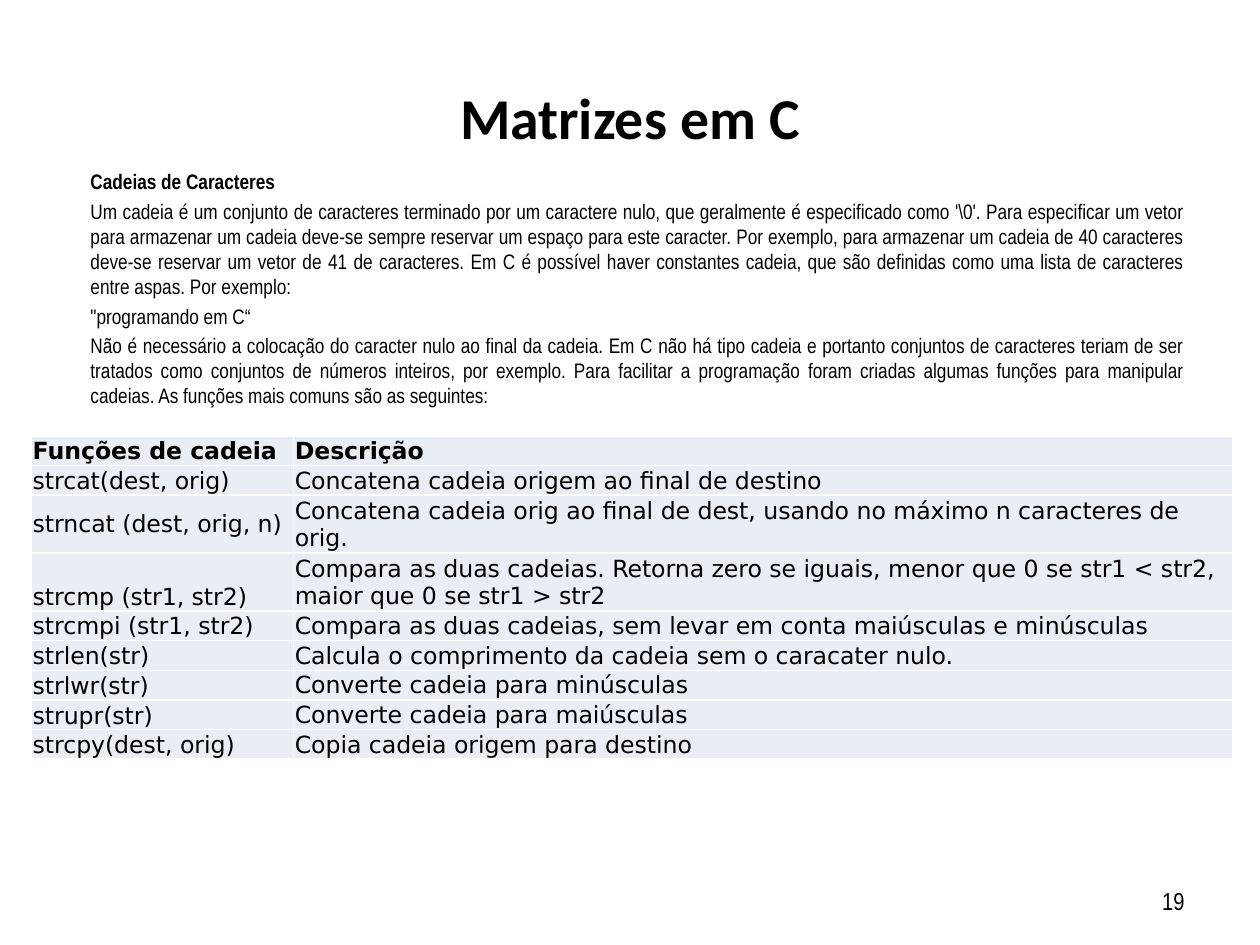
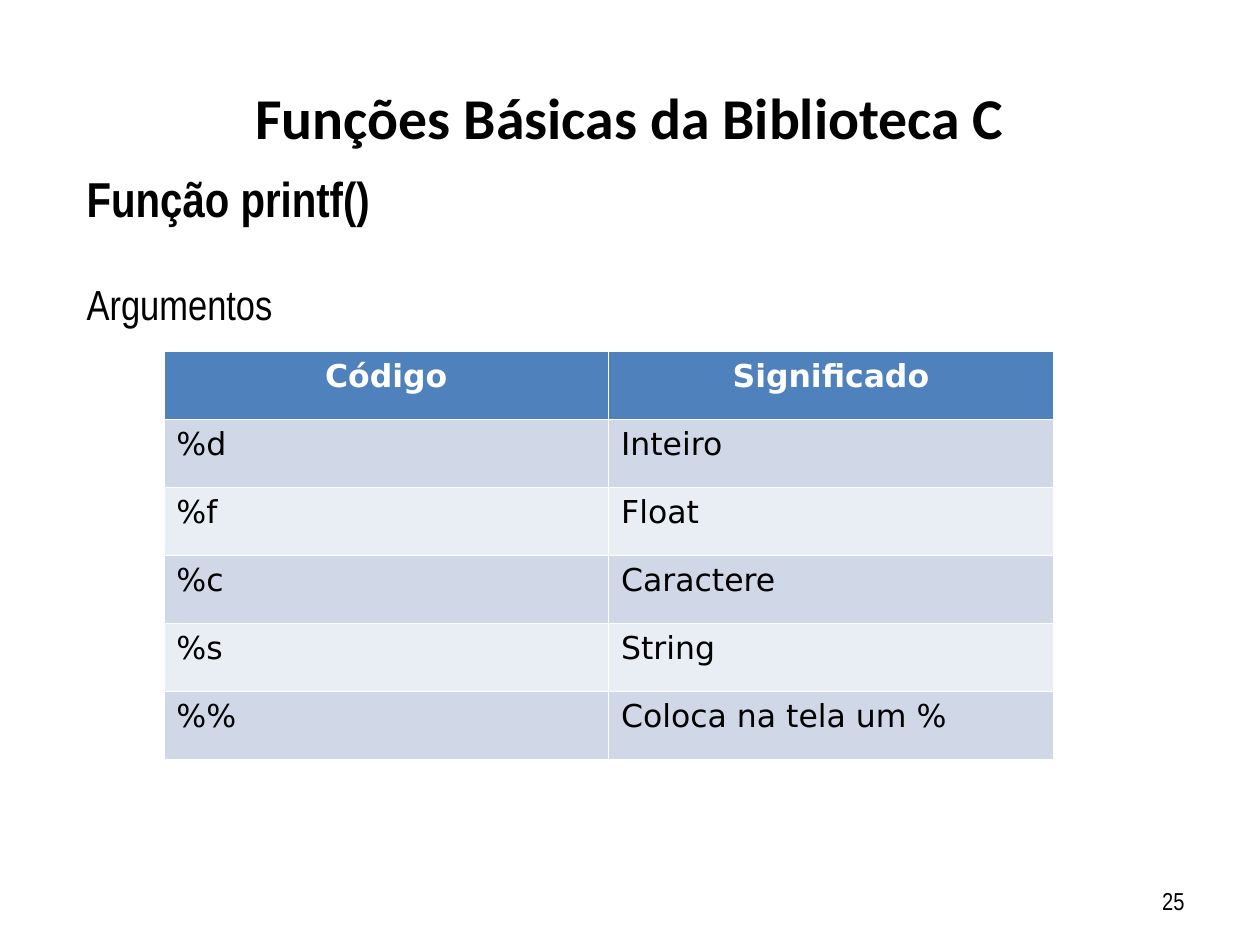
from pptx import Presentation
from pptx.dml.color import RGBColor
from pptx.enum.text import MSO_ANCHOR, PP_ALIGN
from pptx.util import Inches, Pt

TOP, MIDDLE, BOTTOM = MSO_ANCHOR.TOP, MSO_ANCHOR.MIDDLE, MSO_ANCHOR.BOTTOM
LEFT, CENTER, RIGHT, JUSTIFY = PP_ALIGN.LEFT, PP_ALIGN.CENTER, PP_ALIGN.RIGHT, PP_ALIGN.JUSTIFY

BLACK = RGBColor(0x00, 0x00, 0x00)
WHITE = RGBColor(0xFF, 0xFF, 0xFF)
HEADER_BLUE = RGBColor(0x4F, 0x81, 0xBD)
BAND_DARK = RGBColor(0xD0, 0xD8, 0xE8)
BAND_LIGHT = RGBColor(0xE9, 0xED, 0xF4)

TITLE_FONT = "Calibri"
BODY_FONT = "Arial Narrow"
TABLE_FONT = "DejaVu Sans"

TITLE_BOX = (0.5, 0.3, 9, 1.25)
BODY_BOX = (0.5, 1.29, 9, 4.95)
NUMBER_BOX = (7.17, 6.95, 2.33, 0.4)
TITLE_ONLY = 5

STRING_INTRO = [
    ("Cadeias de Caracteres", 12, True, 0),
    ("Um cadeia é um conjunto de caracteres terminado por um caractere nulo, que geralmente é "
     "especificado como '\\0'. Para especificar um vetor para armazenar um cadeia deve-se sempre "
     "reservar um espaço para este caracter. Por exemplo, para armazenar um cadeia de 40 caracteres "
     "deve-se reservar um vetor de 41 de caracteres. Em C é possível haver constantes cadeia, que são "
     "definidas como uma lista de caracteres entre aspas. Por exemplo:", 12, False, 0),
    ("\"programando em C“", 12, False, 0),
    ("Não é necessário a colocação do caracter nulo ao final da cadeia. Em C não há tipo cadeia e "
     "portanto conjuntos de caracteres teriam de ser tratados como conjuntos de números inteiros, por "
     "exemplo. Para facilitar a programação foram criadas algumas funções para manipular cadeias. As "
     "funções mais comuns são as seguintes:", 12, False, 0),
]
STRING_FUNCTIONS = [
    ("Funções de cadeia", "Descrição"),
    ("strcat(dest, orig)", "Concatena cadeia origem ao final de destino"),
    ("strncat (dest, orig, n)",
     "Concatena cadeia orig ao final de dest, usando no máximo n caracteres de orig."),
    ("strcmp (str1, str2)",
     "Compara as duas cadeias. Retorna zero se iguais, menor que 0 se str1 < str2, "
     "maior que 0 se str1 > str2"),
    ("strcmpi (str1, str2)", "Compara as duas cadeias, sem levar em conta maiúsculas e minúsculas"),
    ("strlen(str)", "Calcula o comprimento da cadeia sem o caracater nulo."),
    ("strlwr(str)", "Converte cadeia para minúsculas"),
    ("strupr(str)", "Converte cadeia para maiúsculas"),
    ("strcpy(dest, orig)", "Copia cadeia origem para destino"),
]
MIDDLE_ROWS = (0, 2, 4)

PRINTF_INTRO = [
    ("Função printf()", 28, True, 24),
    ("Argumentos", 24, False, 0),
]
PRINTF_CODES = [
    ("Código", "Significado"),
    ("%d", "Inteiro"),
    ("%f", "Float"),
    ("%c", "Caractere"),
    ("%s", "String"),
    ("%%", "Coloca na tela um %"),
]


def inches(box):
    return [Inches(length) for length in box]


def style(paragraph, font_name, size, bold=False, color=BLACK, align=LEFT):
    paragraph.alignment = align
    font = paragraph.font
    font.name, font.size, font.bold = font_name, Pt(size), bold
    font.color.rgb = color


def add_title(slide, box, wording):
    title = slide.shapes.title
    title.left, title.top, title.width, title.height = inches(box)
    title.text_frame.text = wording
    title.text_frame.vertical_anchor = MIDDLE
    style(title.text_frame.paragraphs[0], TITLE_FONT, 33, True, align=CENTER)


def add_body(slide, box, entries, indent):
    frame = slide.shapes.add_textbox(*inches(box)).text_frame
    frame.word_wrap = True
    for index, (wording, size, bold, space_after) in enumerate(entries):
        paragraph = frame.paragraphs[0] if index == 0 else frame.add_paragraph()
        paragraph.text = wording
        style(paragraph, BODY_FONT, size, bold, align=JUSTIFY)
        paragraph.space_before = Pt(size * 0.2)
        paragraph.space_after = Pt(space_after)
        paragraph._p.get_or_add_pPr().set("marL", str(Inches(indent)))


def add_page_number(slide, box, number):
    frame = slide.shapes.add_textbox(*inches(box)).text_frame
    frame.word_wrap = True
    frame.vertical_anchor = MIDDLE
    frame.text = str(number)
    style(frame.paragraphs[0], BODY_FONT, 14, align=RIGHT)


def add_grid(slide, left, top, column_widths, row_height, rows, blue_header):
    box = (left, top, sum(column_widths), row_height * len(rows))
    table = slide.shapes.add_table(len(rows), len(column_widths), *inches(box)).table
    table.first_row = blue_header
    table.horz_banding = False
    for column, width in zip(table.columns, column_widths):
        column.width = Inches(width)
    for row, wordings in zip(table.rows, rows):
        row.height = Inches(row_height)
        for cell, wording in zip(row.cells, wordings):
            cell.text = wording
            cell.fill.solid()
    return table


def add_function_table(slide, left, top):
    table = add_grid(slide, left, top, (2.08, 7.45), 0.21, STRING_FUNCTIONS, False)
    for row_index, row in enumerate(table.rows):
        for column_index, cell in enumerate(row.cells):
            cell.fill.fore_color.rgb = BAND_LIGHT
            cell.margin_left = cell.margin_right = cell.margin_top = Inches(0.01)
            cell.margin_bottom = 0
            centred = column_index == 1 or row_index in MIDDLE_ROWS
            cell.vertical_anchor = MIDDLE if centred else BOTTOM
            style(cell.text_frame.paragraphs[0], TABLE_FONT, 13.5, row_index == 0)


def add_code_table(slide, left, top):
    table = add_grid(slide, left, top, (3.53, 3.53), 0.54, PRINTF_CODES, True)
    for row_index, row in enumerate(table.rows):
        header = row_index == 0
        band = BAND_DARK if row_index % 2 else BAND_LIGHT
        for cell in row.cells:
            cell.fill.fore_color.rgb = HEADER_BLUE if header else band
            cell.vertical_anchor = TOP
            style(cell.text_frame.paragraphs[0], TABLE_FONT, 18, header,
                  WHITE if header else BLACK, CENTER if header else LEFT)


def add_lesson_slide(deck, title, entries, indent, number):
    slide = deck.slides.add_slide(deck.slide_layouts[TITLE_ONLY])
    add_title(slide, TITLE_BOX, title)
    add_body(slide, BODY_BOX, entries, indent)
    add_page_number(slide, NUMBER_BOX, number)
    return slide


def main():
    deck = Presentation()
    deck.slide_width, deck.slide_height = Inches(10), Inches(7.5)
    strings = add_lesson_slide(deck, "Matrizes em C", STRING_INTRO, 0.12, 19)
    add_function_table(strings, 0.25, 3.46)
    printf = add_lesson_slide(deck, "Funções Básicas da Biblioteca C", PRINTF_INTRO, 0.09, 25)
    add_code_table(printf, 1.3, 2.79)
    deck.save("out.pptx")


if __name__ == "__main__":
    main()
